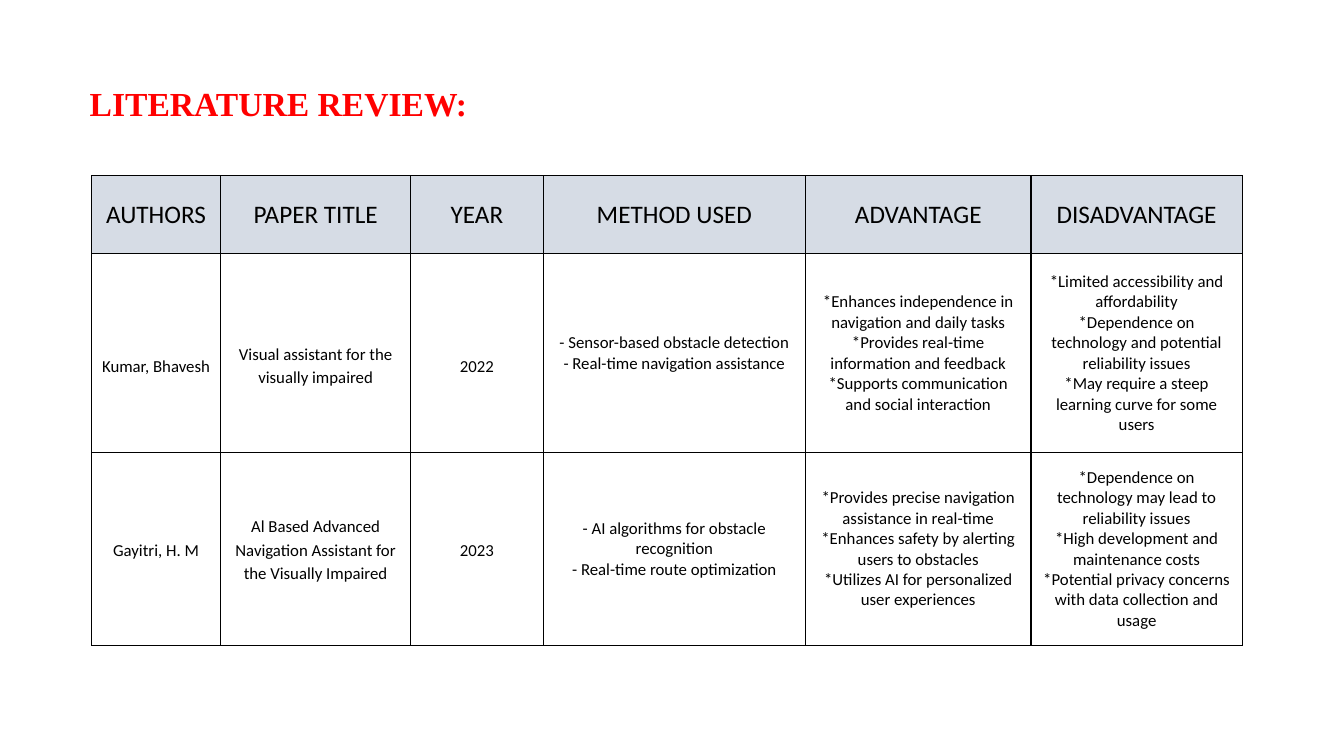
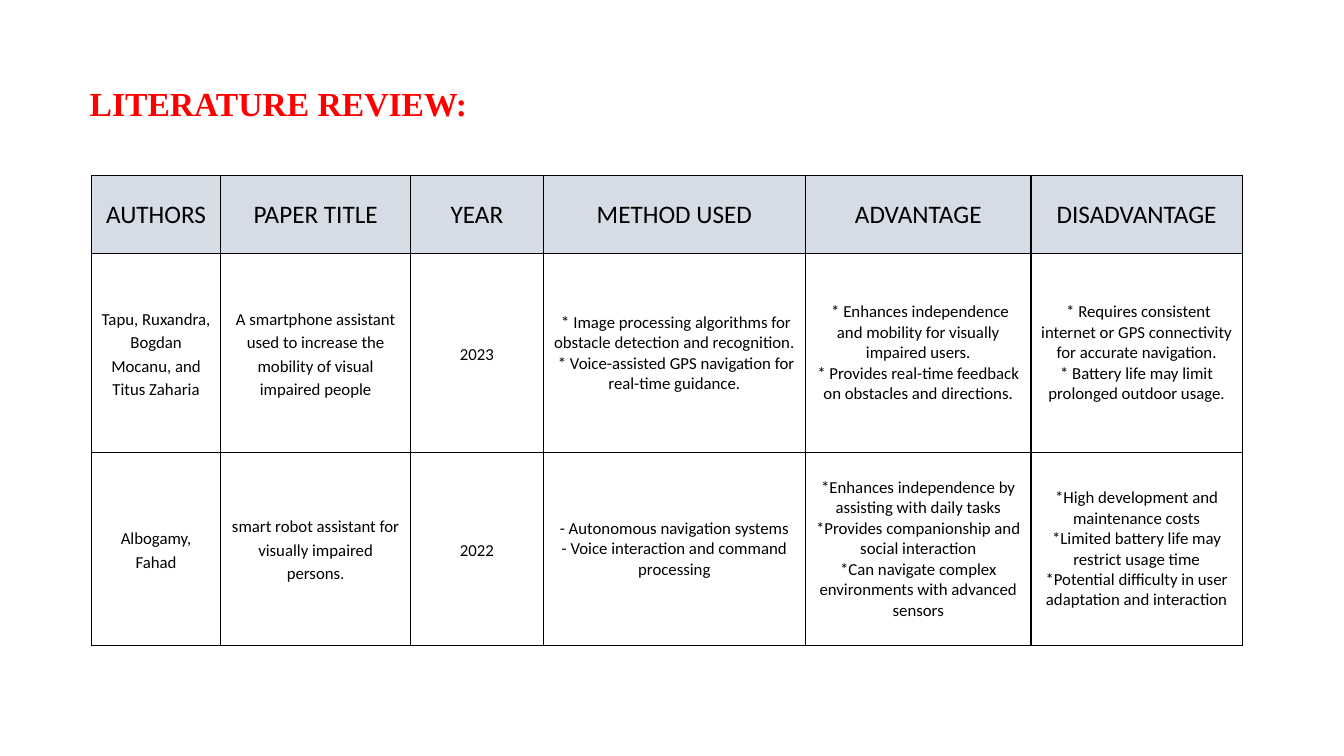
from dataclasses import dataclass

from lxml import etree
from pptx import Presentation
from pptx.dml.color import RGBColor
from pptx.enum.text import MSO_ANCHOR, MSO_AUTO_SIZE, PP_ALIGN
from pptx.oxml.ns import qn
from pptx.util import Pt

MID = MSO_ANCHOR.MIDDLE
GROW = MSO_AUTO_SIZE.SHAPE_TO_FIT_TEXT
LEFT, CENTER = PP_ALIGN.LEFT, PP_ALIGN.CENTER


@dataclass(frozen=True)
class Theme:
    red: str = "FF0000"
    black: str = "000000"
    white: str = "FFFFFF"
    head: str = "D6DCE5"
    serif: str = "Times New Roman"
    sans: str = "Calibri"
    title_pt: int = 24
    head_pt: int = 18
    body_pt: int = 12
    line_pt: int = 1


THEME = Theme()

# Table grid, in points
COLS = (92, 136, 94.5, 187.5, 161, 151)
ROWS = (55.5, 142.5, 137.5)
TIGHT = 4    # columns with small insets
LOOSE = 3    # columns with wide line spacing
DROP = 17    # one text line of extra space above

HEADS = ("AUTHORS", "PAPER TITLE", "YEAR", "METHOD USED", "ADVANTAGE",
         "DISADVANTAGE")

# Each slide: rows of (space above the short columns, cells)
PAGES = (
    (
        (DROP, (
            "Kumar, Bhavesh",
            "Visual assistant for the visually impaired",
            "2022",
            "- Sensor-based obstacle detection\n"
            "- Real-time navigation assistance",
            "*Enhances independence in navigation and daily tasks\n"
            "*Provides real-time information and feedback\n"
            "*Supports communication and social interaction",
            "*Limited accessibility and affordability\n"
            "*Dependence on technology and potential reliability issues\n"
            "*May require a steep learning curve for some users",
        )),
        (0, (
            "Gayitri, H. M",
            "Al Based Advanced Navigation Assistant for the Visually Impaired",
            "2023",
            "- AI algorithms for obstacle recognition\n"
            "- Real-time route optimization",
            "*Provides precise navigation assistance in real-time\n"
            "*Enhances safety by alerting users to obstacles\n"
            "*Utilizes AI for personalized user experiences",
            "*Dependence on technology may lead to reliability issues\n"
            "*High development and maintenance costs\n"
            "*Potential privacy concerns with data collection and usage",
        )),
    ),
    (
        (0, (
            "Tapu, Ruxandra, Bogdan Mocanu, and Titus Zaharia",
            "A smartphone assistant used to increase the mobility of visual "
            "impaired people",
            "2023",
            " * Image processing algorithms for obstacle detection and "
            "recognition.\n"
            " * Voice-assisted GPS navigation for real-time guidance.",
            " * Enhances independence and mobility for visually impaired "
            "users.\n"
            "* Provides real-time feedback on obstacles and directions.",
            " * Requires consistent internet or GPS connectivity for accurate "
            "navigation.\n"
            "* Battery life may limit prolonged outdoor usage.",
        )),
        (0, (
            "Albogamy, Fahad",
            "smart robot assistant for visually impaired persons.",
            "2022",
            "- Autonomous navigation systems\n"
            "- Voice interaction and command processing",
            "*Enhances independence by assisting with daily tasks\n"
            "*Provides companionship and social interaction\n"
            "*Can navigate complex environments with advanced sensors",
            "*High development and maintenance costs\n"
            "*Limited battery life may restrict usage time\n"
            "*Potential difficulty in user adaptation and interaction",
        )),
    ),
)


def style(item, form):
    for key, val in form.items():
        setattr(item, key, val)


def write(frame, text, font, color, align=LEFT, space=1.0):
    frame.text = text
    for para in frame.paragraphs:
        style(para, {"alignment": align, "line_spacing": space})
        for run in para.runs:
            style(run.font, font)
            run.font.color.rgb = RGBColor.from_string(color)


def border(cell):
    props = cell._tc.get_or_add_tcPr()
    for side in ("lnL", "lnR", "lnT", "lnB"):
        line = etree.SubElement(props, qn("a:" + side),
                                w=str(Pt(THEME.line_pt)))
        fill = etree.SubElement(line, qn("a:solidFill"))
        etree.SubElement(fill, qn("a:srgbClr"), val=THEME.black)


def fill_cell(cell, text, size, color, inset=None, space=1.0):
    border(cell)
    cell.fill.solid()
    cell.fill.fore_color.rgb = RGBColor.from_string(color)
    style(cell, {"vertical_anchor": MID, **(inset or {})})
    font = {"name": THEME.sans, "size": Pt(size), "bold": False}
    write(cell.text_frame, text, font, THEME.black, CENTER, space)


def add_title(slide, text):
    box = slide.shapes.add_textbox(Pt(57), Pt(56), Pt(347), Pt(36))
    style(box.text_frame, {"word_wrap": True, "auto_size": GROW})
    font = {"name": THEME.serif, "size": Pt(THEME.title_pt), "bold": True}
    write(box.text_frame, text, font, THEME.red)


def add_grid(slide, rows):
    frame = slide.shapes.add_table(len(ROWS), len(COLS), Pt(65.5), Pt(125.5),
                                   Pt(sum(COLS)), Pt(sum(ROWS)))
    grid = frame.table
    style(grid, {"first_row": False, "horz_banding": False})
    for col, width in zip(grid.columns, COLS):
        col.width = Pt(width)
    for row, height in zip(grid.rows, ROWS):
        row.height = Pt(height)

    # Header row
    for num, text in enumerate(HEADS):
        fill_cell(grid.cell(0, num), text, THEME.head_pt, THEME.head)

    # Body rows
    for top, (drop, cells) in enumerate(rows, 1):
        for num, text in enumerate(cells):
            loose = num < LOOSE
            inset = {"margin_left": Pt(5), "margin_right": Pt(5),
                     "margin_top": Pt(drop if loose else 0),
                     "margin_bottom": Pt(0)} if num < TIGHT else None
            fill_cell(grid.cell(top, num), text, THEME.body_pt, THEME.white,
                      inset, 1.15 if loose else 1.0)


def main():
    deck = Presentation()
    style(deck, {"slide_width": Pt(960), "slide_height": Pt(540)})
    for rows in PAGES:
        slide = deck.slides.add_slide(deck.slide_layouts[6])
        add_title(slide, "LITERATURE REVIEW:")
        add_grid(slide, rows)
    deck.save("out.pptx")


if __name__ == "__main__":
    main()
